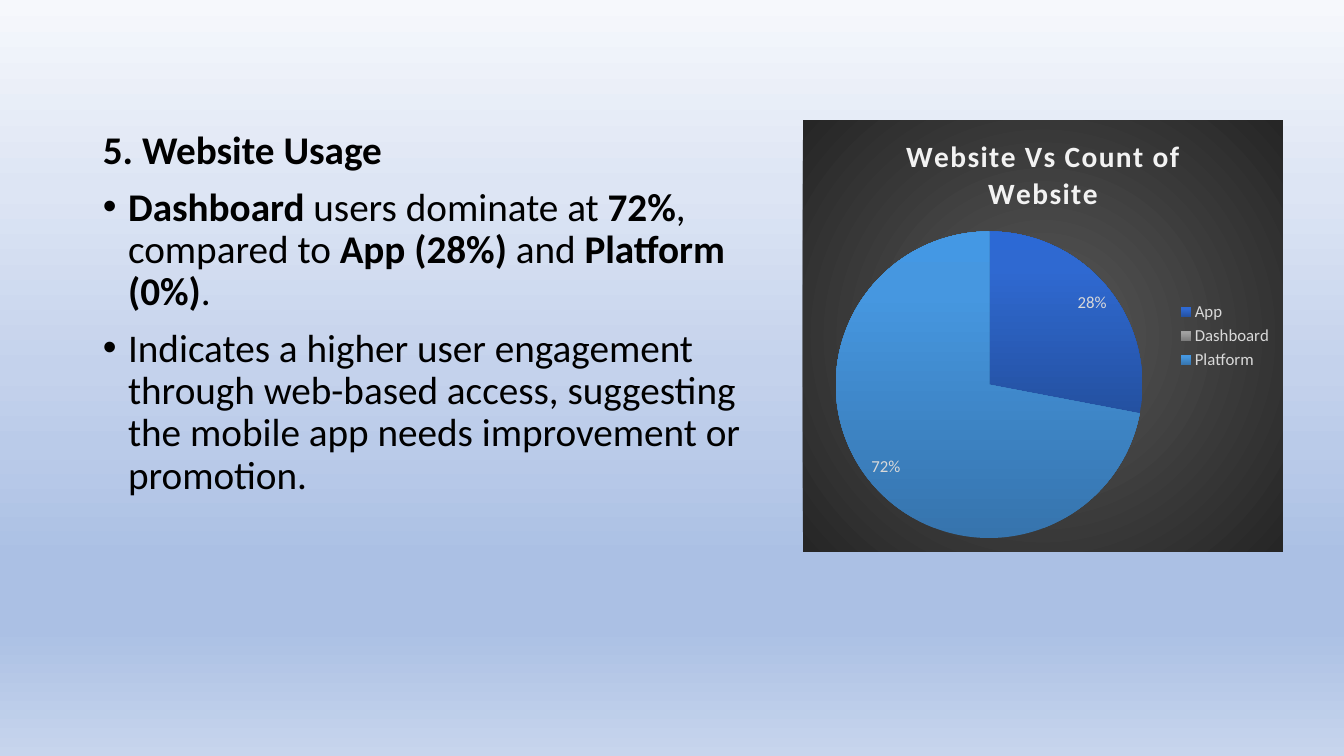
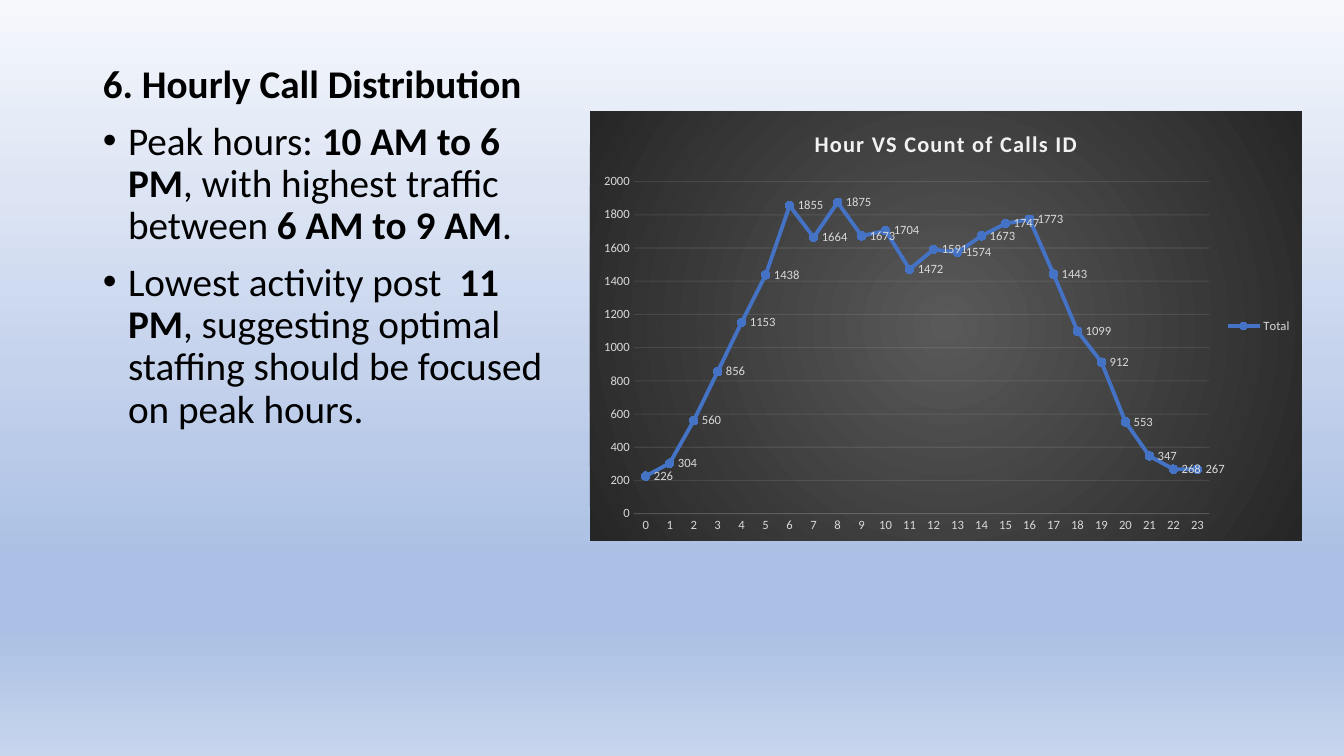
"""Build two slides on website usage and hourly calls."""
from pptx import Presentation
from pptx.chart.data import CategoryChartData
from pptx.dml.color import RGBColor as RGB
from pptx.enum.chart import XL_CHART_TYPE as Kind
from pptx.enum.chart import XL_LABEL_POSITION as Spot
from pptx.enum.chart import XL_LEGEND_POSITION as Side
from pptx.enum.chart import XL_MARKER_STYLE as Mark
from pptx.enum.chart import XL_TICK_MARK as Tick
from pptx.enum.text import PP_ALIGN as Align
from pptx.oxml import parse_xml
from pptx.oxml.ns import nsdecls
from pptx.util import Pt

FONT = "Calibri"
BLACK = RGB(0x00, 0x00, 0x00)
PALE = RGB(0xD9, 0xD9, 0xD9)
LIGHT = RGB(0xF2, 0xF2, 0xF2)
BLUE = RGB(0x44, 0x72, 0xC4)

SKY = [(0, "F6F8FC"), (25, "DDE5F4"), (49, "C4D2EC"), (59, "BACBE9"),
       (74, "ABC0E4"), (83, "ABC0E4"), (100, "C7D5ED")]
DARK = [(0, "595959"), (100, "262626")]
SLICES = [
    [(0, "2451A1"), (80, "2F69D1"), (100, "2C69D5")],
    [(0, "7B7B7B"), (80, "A0A0A0"), (100, "A1A1A1")],
    [(0, "3674AD"), (80, "4697E0"), (100, "4498E4")],
]

USAGE = dict(
    body=(93, 126, 683, 555),
    lines=["*5. Website Usage*",
           "• *Dashboard* users dominate at *72%*, compared to "
           "*App (28%)* and *Platform (0%)*.",
           "• Indicates a higher user engagement through web-based access, "
           "suggesting the mobile app needs improvement or promotion."],
    box=(803, 120, 480, 432), kind=Kind.PIE, size=12,
    title=["*Website Vs Count of*", "*Website*"], head=21,
    cats=["App", "Dashboard", "Platform"],
    name="Series 1", vals=[28, 0, 72])
CALLS = dict(
    body=(93, 60, 464, 621),
    lines=["*6. Hourly Call Distribution*",
           "• Peak hours: *10 AM to 6 PM*, with highest traffic between "
           "*6 AM to 9 AM*.",
           "• Lowest activity post * 11 PM*, suggesting optimal staffing "
           "should be focused on peak hours."],
    box=(590, 111, 712, 430), kind=Kind.LINE_MARKERS, size=9,
    title=["*Hour VS Count of Calls ID*"], head=16,
    cats=[str(hour) for hour in range(24)], name="Total",
    vals=[226, 304, 560, 856, 1153, 1438, 1855, 1664, 1875, 1673, 1704, 1472,
          1591, 1574, 1673, 1747, 1773, 1443, 1099, 912, 553, 347, 268, 267])


def px(*nums):
    """Turn pixels into EMU."""
    return [round(num * 914400 / 100.8) for num in nums]


def blend(stops, angle=None):
    """Make a gradient fill, round when no angle is given."""
    gs = "".join(f'<a:gs pos="{pos * 1000}"><a:srgbClr val="{tint}"/></a:gs>'
                 for pos, tint in stops)
    way = (f'<a:lin ang="{angle * 60000}" scaled="0"/>' if angle else
           '<a:path path="circle"><a:fillToRect l="50000" t="50000" '
           'r="50000" b="50000"/></a:path>')
    return parse_xml(f'<a:gradFill {nsdecls("a")} rotWithShape="1">'
                     f'<a:gsLst>{gs}</a:gsLst>{way}</a:gradFill>')


def swap(old, new):
    """Put one element in the place of another."""
    old.getparent().replace(old, new)


def style(font, size, color):
    """Set the face, size and colour of a font."""
    font.name, font.size, font.color.rgb = FONT, Pt(size), color


def write(frame, lines, size=28, color=BLACK, align=Align.LEFT, lead=0.9,
          before=10, track=0):
    """Fill a frame with lines; stars mark bold, a dot marks a bullet."""
    for num, line in enumerate(lines):
        para = frame.add_paragraph() if num else frame.paragraphs[0]
        para.alignment, para.line_spacing = align, lead
        para.space_before = Pt(before)
        if line.startswith("• "):
            line = line[2:]
            prop = para._p.get_or_add_pPr()
            prop.set("marL", "228600")
            prop.set("indent", "-228600")
            prop.append(parse_xml(f'<a:buFont {nsdecls("a")} typeface="Arial"/>'))
            prop.append(parse_xml(f'<a:buChar {nsdecls("a")} char="•"/>'))
        for turn, part in enumerate(line.split("*")):
            if part:
                run = para.add_run()
                run.text = part
                style(run.font, size, color)
                run.font.bold = turn % 2 == 1
                if track:
                    run.font._element.set("spc", str(track))


def plot(slide, item):
    """Add a dark chart with its title, legend and labels."""
    data = CategoryChartData()
    data.categories = item["cats"]
    data.add_series(item["name"], item["vals"])
    chart = slide.shapes.add_chart(item["kind"], *px(*item["box"]), data).chart
    style(chart.font, 10, BLACK)
    back = parse_xml(f'<c:spPr {nsdecls("c", "a")}/>')
    back.append(blend(DARK))
    back.append(parse_xml(f'<a:ln {nsdecls("a")}><a:noFill/></a:ln>'))
    chart.element.xpath("./c:txPr")[0].addprevious(back)
    chart.has_title = True
    write(chart.chart_title.text_frame, item["title"], size=item["head"],
          color=LIGHT, align=Align.CENTER, lead=1.0, before=0, track=100)
    chart.has_legend = True
    chart.legend.position = Side.RIGHT
    chart.legend.include_in_layout = False
    style(chart.legend.font, item["size"], PALE)
    zone = chart.plots[0]
    tags = zone.series[0].data_labels
    style(tags.font, item["size"], PALE)
    return chart, zone, tags


def pie(slide, item):
    """Add the pie with shaded slices."""
    chart, zone, tags = plot(slide, item)
    zone.vary_by_categories = True
    tags.show_percentage, tags.show_value = True, False
    tags.number_format, tags.number_format_is_linked = "0%", False
    tags.position = Spot.BEST_FIT
    points = zone.series[0].points
    for num in range(len(SLICES)):
        points[num].format.fill.solid()
    fills = chart.element.xpath(".//c:dPt/c:spPr/a:solidFill")
    for old, stops in zip(fills, SLICES):
        swap(old, blend(stops, 270))
    zero = points[item["vals"].index(0)].data_label
    style(zero.font, item["size"], PALE)
    zero.position = Spot.OUTSIDE_END
    for tag, flag in (("showVal", "0"), ("showPercent", "1")):
        chart.element.xpath(f".//c:dLbl/c:{tag}")[0].set("val", flag)


def curve(slide, item):
    """Add the line with round markers and faint grid."""
    chart, zone, tags = plot(slide, item)
    zone.vary_by_categories = False
    tags.show_value, tags.position = True, Spot.RIGHT
    line = zone.series[0]
    line.smooth = False
    line.format.line.color.rgb, line.format.line.width = BLUE, Pt(2.75)
    line.marker.style, line.marker.size = Mark.CIRCLE, 6
    line.marker.format.fill.solid()
    line.marker.format.fill.fore_color.rgb = BLUE
    line.marker.format.line.fill.background()
    base, rise = chart.category_axis, chart.value_axis
    for axis in (base, rise):
        axis.major_tick_mark = axis.minor_tick_mark = Tick.NONE
        style(axis.tick_labels.font, item["size"], PALE)
    rise.minimum_scale, rise.maximum_scale, rise.major_unit = 0, 2000, 200
    rise.format.line.fill.background()
    for rule in (base.format.line, rise.major_gridlines.format.line):
        rule.color.rgb, rule.width = LIGHT, Pt(0.75)
    for tint in chart.element.xpath(".//c:majorGridlines//a:srgbClr"
                                    " | .//c:catAx/c:spPr//a:srgbClr"):
        tint.append(parse_xml(f'<a:alpha {nsdecls("a")} val="10000"/>'))


def main():
    """Build and save the slides."""
    deck = Presentation()
    deck.slide_width, deck.slide_height = px(1344, 756)
    for item, draw in ((USAGE, pie), (CALLS, curve)):
        slide = deck.slides.add_slide(deck.slide_layouts[6])
        slide.background.fill.solid()
        swap(slide.element.xpath(".//p:bgPr/a:solidFill")[0], blend(SKY, 90))
        frame = slide.shapes.add_textbox(*px(*item["body"])).text_frame
        frame.word_wrap = True
        write(frame, item["lines"])
        draw(slide, item)
    deck.save("out.pptx")


if __name__ == "__main__":
    main()
